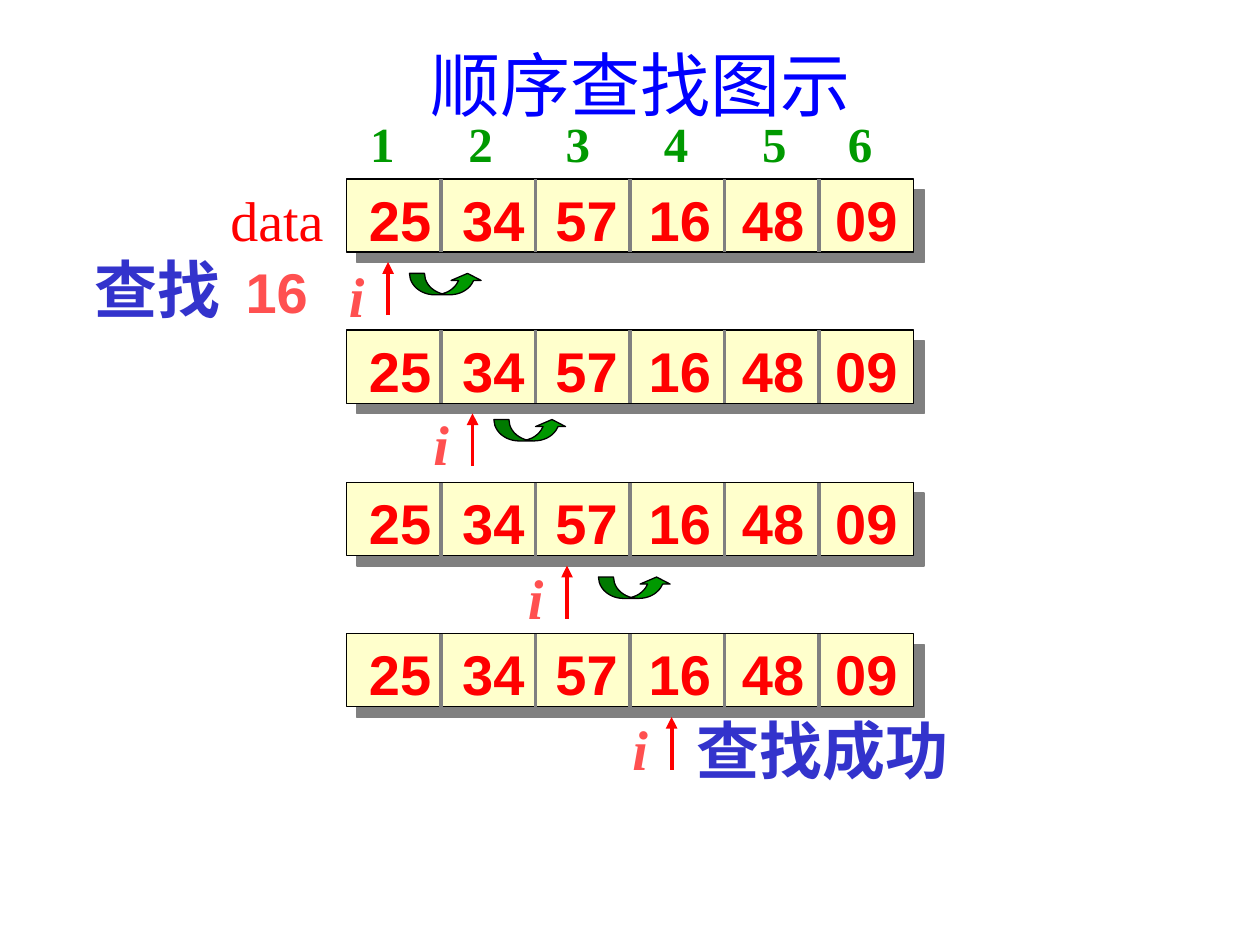
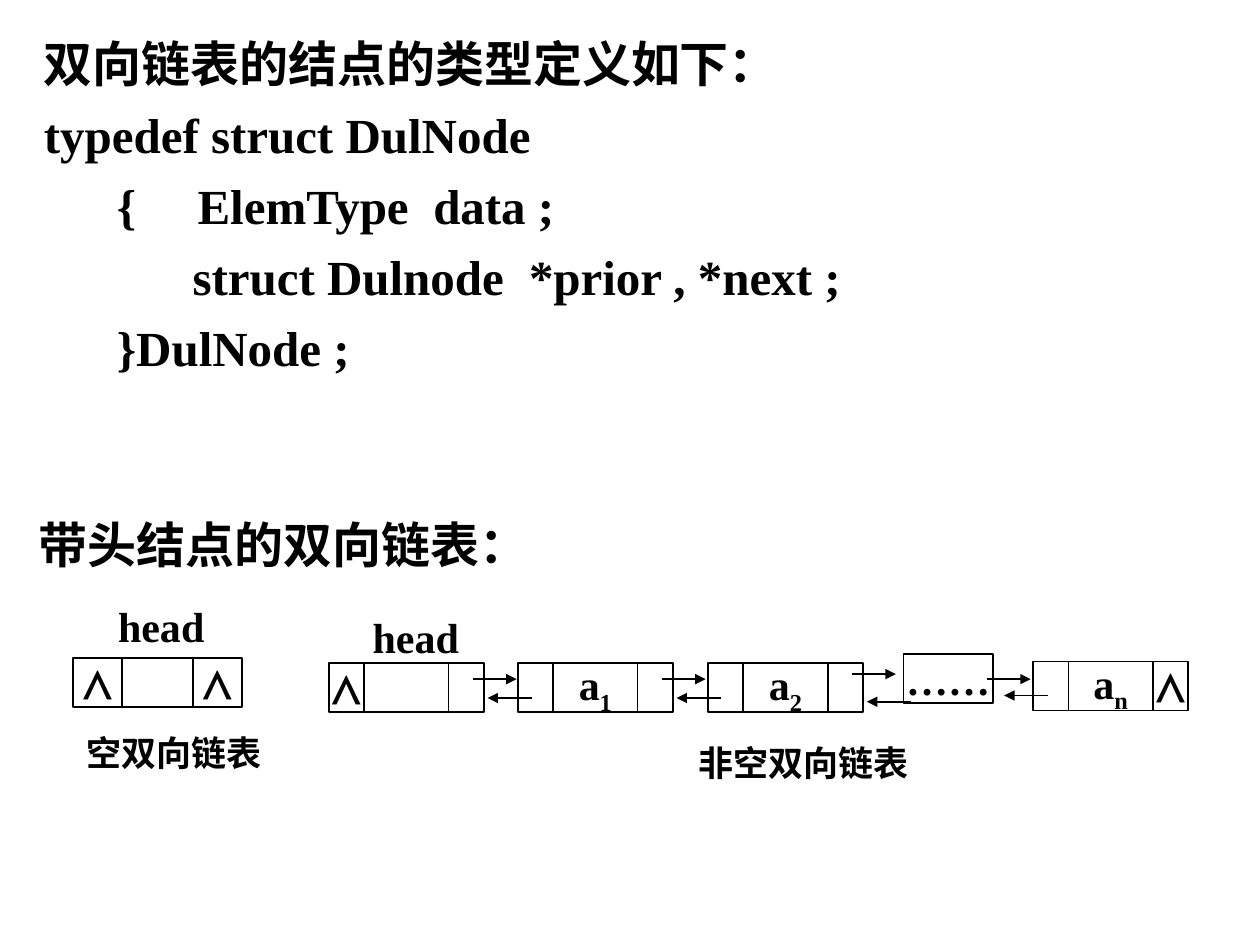
from dataclasses import dataclass

from lxml import etree
from pptx import Presentation
from pptx.dml.color import RGBColor
from pptx.enum.shapes import MSO_CONNECTOR, MSO_SHAPE
from pptx.enum.text import MSO_ANCHOR, PP_ALIGN
from pptx.oxml.ns import qn
from pptx.util import Inches, Pt

RECTANGLE = MSO_SHAPE.RECTANGLE
CURVED_UP_ARROW = MSO_SHAPE.CURVED_UP_ARROW
STRAIGHT = MSO_CONNECTOR.STRAIGHT
LEFT, CENTER = PP_ALIGN.LEFT, PP_ALIGN.CENTER
TOP, MIDDLE = MSO_ANCHOR.TOP, MSO_ANCHOR.MIDDLE

SERIF, SANS, CHINESE = "Times New Roman", "Arial", "Noto Sans CJK SC"


@dataclass(frozen=True)
class Style:
    size: int
    color: str
    font: str = SERIF
    bold: bool = True
    italic: bool = False


class Theme:
    black = "000000"
    red = "FF0000"
    gray = "808080"
    cream = "FFFFCC"
    green = "009900"

    title = Style(40, "0000FF", bold=False)
    index = Style(28, green)
    value = Style(32, red, SANS)
    array_name = Style(32, red, bold=False)
    message = Style(36, "3333CC")
    key = Style(32, "FF5050", SANS)
    pointer = Style(32, "FF5050", italic=True)
    heading = Style(28, black, CHINESE)
    code = Style(28, black)
    node = Style(24, black)
    caption = Style(20, black)

    thin, node_line, thick = 0.75, 1, 2.25


# ---- text ----
def apply_style(font, style):
    font.size = Pt(style.size)
    font.name = style.font
    font.bold = style.bold
    font.italic = style.italic
    font.color.rgb = RGBColor.from_string(style.color)


def write(paragraph, text, style, tabs=(), align=LEFT):
    """Fill a paragraph; tabs are distances in inches from the text edge."""
    paragraph.alignment = align
    paragraph.add_run().text = text
    apply_style(paragraph.font, style)
    defaults = paragraph._p.pPr.find(qn("a:defRPr"))
    latin = defaults.find(qn("a:latin"))
    latin.addnext(etree.Element(qn("a:ea"), typeface=CHINESE))
    if tabs:
        tab_list = etree.Element(qn("a:tabLst"))
        for position in tabs:
            etree.SubElement(tab_list, qn("a:tab"), pos=str(Inches(position)), algn="l")
        defaults.addprevious(tab_list)


def add_text(slide, box, text, style, tabs=(), align=LEFT, anchor=TOP, wrap=False):
    shape = slide.shapes.add_textbox(*map(Inches, box))
    frame = shape.text_frame
    frame.word_wrap = wrap
    frame.vertical_anchor = anchor
    write(frame.paragraphs[0], text, style, tabs, align)
    return frame


# ---- shapes and lines ----
def add_block(slide, kind, box, fill=None, width=Theme.thin):
    shape = slide.shapes.add_shape(kind, *map(Inches, box))
    shape.shadow.inherit = False
    if fill:
        shape.fill.solid()
        shape.fill.fore_color.rgb = RGBColor.from_string(fill)
    else:
        shape.fill.background()
    shape.line.color.rgb = RGBColor.from_string(Theme.black)
    shape.line.width = Pt(width)
    return shape


def add_hard_shadow(shape):
    effects = shape._element.spPr.find(qn("a:effectLst"))
    shadow = etree.SubElement(effects, qn("a:outerShdw"), dist=str(Pt(8.5)),
                              dir=str(45 * 60000), algn="ctr", rotWithShape="0")
    etree.SubElement(shadow, qn("a:srgbClr"), val=Theme.gray)


def add_line(slide, start, end, color, width, arrow=False):
    line = slide.shapes.add_connector(STRAIGHT, *map(Inches, (*start, *end)))
    line.line.color.rgb = RGBColor.from_string(color)
    line.line.width = Pt(width)
    properties = line._element.spPr
    if arrow:
        etree.SubElement(properties.find(qn("a:ln")), qn("a:tailEnd"), type="triangle")
    etree.SubElement(properties, qn("a:effectLst"))


# ---- sequential search ----
VALUES = ("25", "34", "57", "16", "48", "09")
ARRAY_LEFT, CELL_WIDTH, CELL_HEIGHT = 2.75, 0.75, 0.58


def add_array(slide, top):
    bar = add_block(slide, RECTANGLE,
                    (ARRAY_LEFT, top, CELL_WIDTH * len(VALUES), CELL_HEIGHT), Theme.cream)
    add_hard_shadow(bar)
    tabs = [0.74 * column for column in range(1, len(VALUES))]
    add_text(slide, (2.83, top, 4.49, 0.64), "\t".join(VALUES), Theme.value, tabs, wrap=True)
    for column in range(1, len(VALUES)):
        x = ARRAY_LEFT + column * CELL_WIDTH
        add_line(slide, (x, top), (x, top + CELL_HEIGHT), Theme.gray, Theme.thick)


def add_pointer(slide, x, top, label_top):
    add_line(slide, (x, top + 1.08), (x, top + 0.66), Theme.red, Theme.thick, arrow=True)
    add_text(slide, (x - 0.41, label_top, 0.32, 0.64), "i", Theme.pointer)


def add_hop(slide, left, top):
    hop = add_block(slide, CURVED_UP_ARROW, (left, top, 0.58, 0.17), Theme.green)
    for position, amount in enumerate((0.7, 1.4, 0.33)):
        hop.adjustments[position] = amount


def build_search_slide(slide):
    add_text(slide, (2.75, 0.25, 4.67, 0.83), "顺序查找图示", Theme.title,
             align=CENTER, anchor=MIDDLE, wrap=True)
    add_text(slide, (2.84, 0.85, 4.4, 0.57), "1\t2\t3\t4\t5\t6", Theme.index,
             (0.78, 1.55, 2.33, 3.11, 3.79), wrap=True)
    add_text(slide, (1.73, 1.42, 0.94, 0.64), "data", Theme.array_name)

    # Search key
    frame = add_text(slide, (0.65, 1.94, 2.02, 0.7), "查找", Theme.message, (1.2,), wrap=True)
    key = frame.paragraphs[0].add_run()
    key.text = "\t16"
    apply_style(key.font, Theme.key)

    # Steps: array top, pointer x, pointer label top
    for top, x, label_top in ((1.42, 3.08, 2.03), (2.62, 3.75, 3.2),
                              (3.83, 4.5, 4.42), (5.03, 5.33, 5.62)):
        add_array(slide, top)
        add_pointer(slide, x, top, label_top)
    for left, top in ((3.25, 2.17), (3.92, 3.33), (4.75, 4.58)):
        add_hop(slide, left, top)
    add_text(slide, (5.43, 5.6, 2.2, 0.7), "查找成功", Theme.message)


# ---- doubly linked list ----
NIL = "⋀"
NODE_HEIGHT = 0.39
LINK_LENGTH = 0.35


def add_field(slide, left, top, width, text="", subscript=""):
    field = add_block(slide, RECTANGLE, (left, top, width, NODE_HEIGHT),
                      width=Theme.node_line)
    if not text:
        return
    frame = field.text_frame
    frame.word_wrap = False
    frame.vertical_anchor = MIDDLE
    paragraph = frame.paragraphs[0]
    write(paragraph, text, Theme.node, align=CENTER)
    if subscript:
        run = paragraph.add_run()
        run.text = subscript
        run.font._element.set("baseline", "-25000")


def add_node(slide, left, top, prior="", data=("", ""), following="", widths=(0.28, 0.67, 0.28)):
    for width, content in zip(widths, ((prior,), data, (following,))):
        add_field(slide, left, top, width, *content)
        left += width


def add_label(slide, center, top, text, style):
    """Centre one line of text on x; the box is wide enough for any label here."""
    width = 2.4
    add_text(slide, (center - width / 2, top, width, NODE_HEIGHT), text, style,
             align=CENTER, anchor=MIDDLE, wrap=True)


def add_link(slide, x, y, direction):
    add_line(slide, (x, y), (x + direction * LINK_LENGTH, y), Theme.black,
             Theme.node_line, arrow=True)


def build_list_slide(slide):
    # Type definition
    frame = add_text(slide, (0.25, 0.17, 9.58, 3.03), "双向链表的结点的类型定义如下：",
                     Theme.heading, wrap=True)
    frame.paragraphs[0].line_spacing = 1.1
    for text, tabs in (
        ("typedef struct DulNode", ()),
        ("\t{\tElemType\tdata ;", (0.58, 1.22, 3.09)),
        ("\tstruct Dulnode\t*prior , *next ;", (1.18, 3.85)),
        ("\t}DulNode ;", (0.58,)),
    ):
        paragraph = frame.add_paragraph()
        paragraph.space_before = Pt(7)
        write(paragraph, text, Theme.code, tabs)

    # Empty list
    add_label(slide, 1.28, 4.77, "head", Theme.node)
    add_node(slide, 0.58, 5.22, NIL, following=NIL, widths=(0.39, 0.56, 0.39))
    add_label(slide, 1.38, 5.78, "空双向链表", Theme.caption)

    # Non-empty list
    add_label(slide, 3.3, 4.86, "head", Theme.node)
    add_node(slide, 2.61, 5.26, NIL)
    add_node(slide, 4.11, 5.26, data=("a", "1"))
    add_node(slide, 5.62, 5.26, data=("a", "2"))
    add_field(slide, 7.17, 5.19, 0.71, "……")
    add_node(slide, 8.2, 5.25, data=("a", "n"), following=NIL)
    add_label(slide, 6.38, 5.86, "非空双向链表", Theme.caption)

    # Links: forward start, backward start
    for forward, backward in (((3.75, 5.39), (4.22, 5.54)), ((5.25, 5.39), (5.72, 5.54)),
                              ((6.76, 5.35), (7.23, 5.57)), ((7.83, 5.39), (8.32, 5.52))):
        add_link(slide, *forward, 1)
        add_link(slide, *backward, -1)

    heading = add_text(slide, (0.21, 3.99, 9.58, 2.58), "带头结点的双向链表：",
                       Theme.heading, wrap=True)
    heading.paragraphs[0].line_spacing = 1.1


def main():
    presentation = Presentation()
    presentation.slide_width, presentation.slide_height = Inches(10), Inches(7.5)
    blank = presentation.slide_layouts[6]
    for build in (build_search_slide, build_list_slide):
        build(presentation.slides.add_slide(blank))
    presentation.save("out.pptx")


if __name__ == "__main__":
    main()
